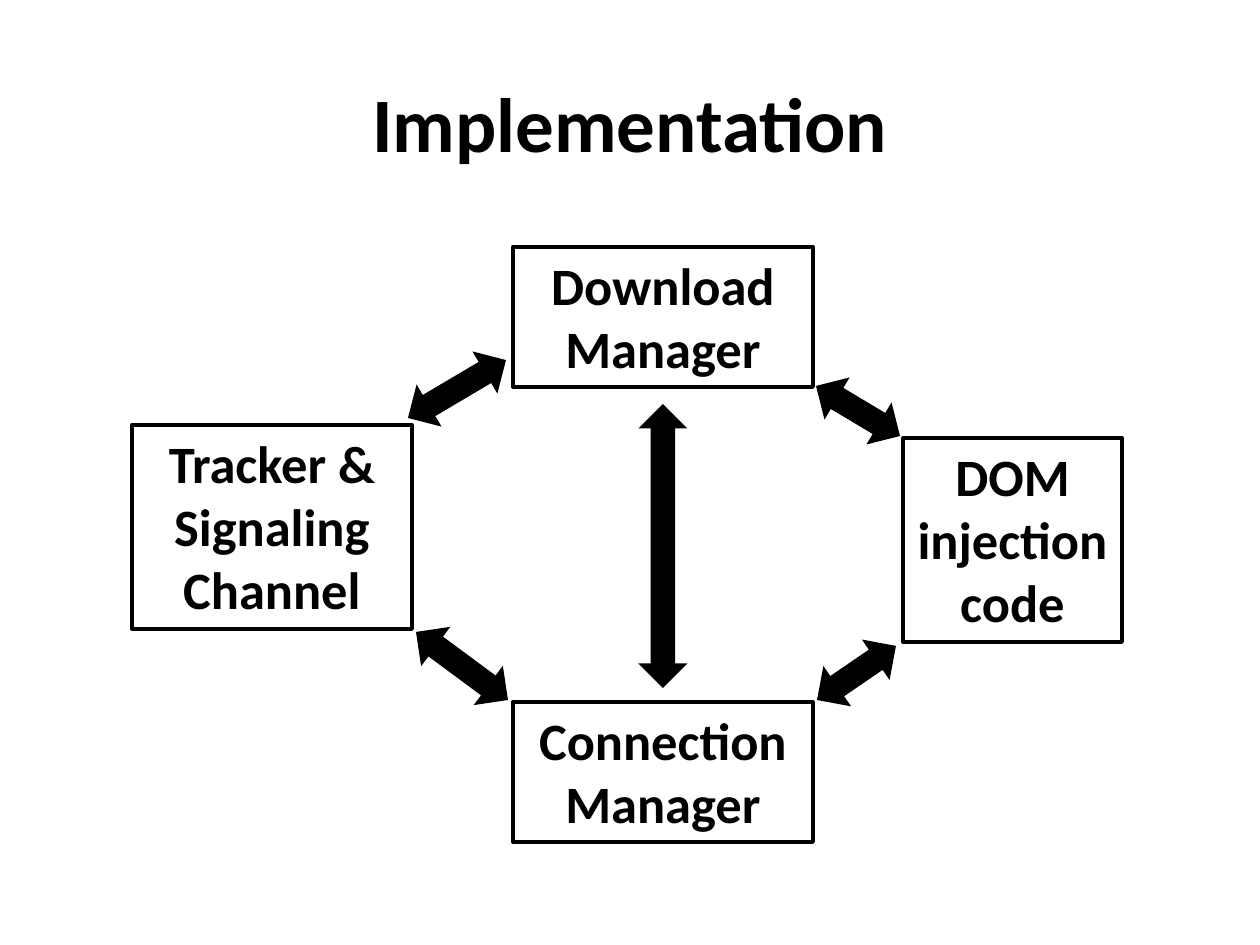
import math

from pptx import Presentation
from pptx import util as u
from pptx.dml.color import RGBColor
from pptx.enum import shapes, text

PIXEL = u.Inches(1) / 126
COLOURS = {"ink": "000000"}
INK = RGBColor.from_string(COLOURS["ink"])
ARROW_WIDTH = 49

COMPONENTS = [
    ((513, 247, 300, 140), ["Download Manager"]),
    ((513, 702, 300, 140), ["Connection Manager"]),
    ((132, 425, 280, 204), ["Tracker & Signaling Channel"]),
    ((903, 438, 219, 204), ["DOM injection", "code"]),
]
LINKS = [
    ((408, 418), (506, 360)),
    ((416, 632), (508, 700)),
    ((816, 386), (900, 436)),
    ((817, 700), (896, 646)),
    ((663, 688), (663, 404)),
]


def emu(*pixels):
    """Turn pixel lengths into EMU."""
    return [u.Emu(round(value * PIXEL)) for value in pixels]


def write(frame, lines, size):
    """Fill a text frame with bold, centred paragraphs."""
    frame.word_wrap = True
    frame.vertical_anchor = text.MSO_ANCHOR.TOP
    for number, line in enumerate(lines):
        para = frame.add_paragraph() if number else frame.paragraphs[0]
        para.text = line
        para.alignment = text.PP_ALIGN.CENTER
        para.font.name = "Calibri"
        para.font.size = u.Pt(size)
        para.font.bold = True
        para.font.color.rgb = INK


def add_title(page, bounds, title):
    """Place the slide title in its box."""
    box = page.shapes.add_textbox(*emu(*bounds))
    write(box.text_frame, [title], 44)


def add_component(page, bounds, lines):
    """Place an outlined box naming one component."""
    box = page.shapes.add_shape(shapes.MSO_SHAPE.RECTANGLE, *emu(*bounds))
    box.shadow.inherit = False
    box.fill.background()
    box.line.color.rgb = INK
    box.line.width = u.Pt(2.25)
    write(box.text_frame, lines, 30)


def add_link(page, start, end):
    """Place a two-headed block arrow between two points."""
    across, down = end[0] - start[0], end[1] - start[1]
    length = math.hypot(across, down)
    left = (start[0] + end[0] - length) / 2
    top = (start[1] + end[1] - ARROW_WIDTH) / 2
    arrow = page.shapes.add_shape(
        shapes.MSO_SHAPE.LEFT_RIGHT_ARROW, *emu(left, top, length, ARROW_WIDTH))
    arrow.rotation = round(math.degrees(math.atan2(down, across)) % 360, 1)
    arrow.shadow.inherit = False
    arrow.fill.solid()
    arrow.fill.fore_color.rgb = INK
    arrow.line.fill.background()


def main():
    """Build the slide and save the deck."""
    deck = Presentation()
    deck.slide_width, deck.slide_height = emu(1260, 945)
    page = deck.slides.add_slide(deck.slide_layouts[6])
    add_title(page, (63, 69, 1134, 158), "Implementation")
    for bounds, lines in COMPONENTS:
        add_component(page, bounds, lines)
    for start, end in LINKS:
        add_link(page, start, end)
    deck.save("out.pptx")


main()
